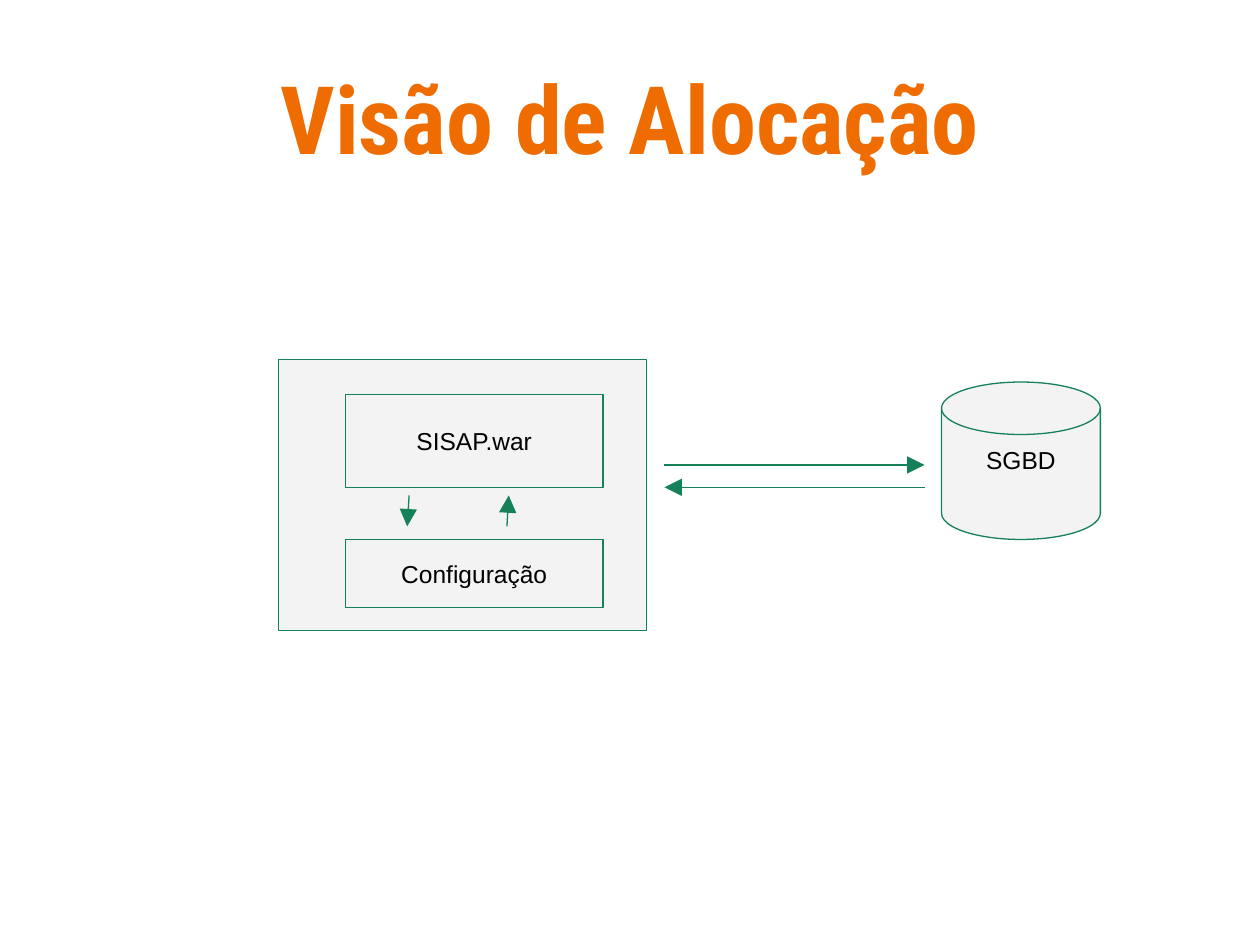
from dataclasses import dataclass

from lxml import etree
from pptx import Presentation
from pptx.dml.color import RGBColor
from pptx.enum.shapes import MSO_CONNECTOR, MSO_SHAPE
from pptx.enum.text import MSO_ANCHOR, PP_ALIGN
from pptx.oxml.ns import qn
from pptx.util import Pt

RECT = MSO_SHAPE.RECTANGLE
DISK = MSO_SHAPE.FLOWCHART_MAGNETIC_DISK
STRAIGHT = MSO_CONNECTOR.STRAIGHT
MIDDLE = MSO_ANCHOR.MIDDLE
CENTER = PP_ALIGN.CENTER


@dataclass(frozen=True)
class Theme:
    title: RGBColor = RGBColor(0xEF, 0x6C, 0x00)
    fill: RGBColor = RGBColor(0xF3, 0xF3, 0xF3)
    line: RGBColor = RGBColor(0x15, 0x81, 0x58)
    text: RGBColor = RGBColor(0, 0, 0)
    title_font: str = "Roboto Condensed"
    body_font: str = "Arial"
    title_size: float = 54
    body_size: float = 14
    line_width: float = 0.75
    inset: float = 7.2


THEME = Theme()


def set_text(sp, text, font, size, color, bold=False):
    tf = sp.text_frame
    tf.text = text
    tf.word_wrap = True
    tf.vertical_anchor = MIDDLE
    p = tf.paragraphs[0]
    p.alignment = CENTER
    r = p.runs[0]
    r.font.name = font
    r.font.size = Pt(size)
    r.font.bold = bold
    r.font.color.rgb = color


def add_node(slide, kind, box, text=None):
    sp = slide.shapes.add_shape(kind, *map(Pt, box))
    sp.shadow.inherit = False
    sp.fill.solid()
    sp.fill.fore_color.rgb = THEME.fill
    sp.line.color.rgb = THEME.line
    sp.line.width = Pt(THEME.line_width)
    if text:
        set_text(sp, text, THEME.body_font, THEME.body_size, THEME.text)
        tf = sp.text_frame
        tf.margin_left = tf.margin_right = Pt(THEME.inset)
        tf.margin_top = tf.margin_bottom = Pt(THEME.inset)
    return sp


def add_arrow(slide, x1, y1, x2, y2):
    cx = slide.shapes.add_connector(STRAIGHT, Pt(x1), Pt(y1), Pt(x2), Pt(y2))
    cx.line.color.rgb = THEME.line
    cx.line.width = Pt(THEME.line_width)
    etree.SubElement(cx.line._get_or_add_ln(), qn("a:tailEnd"),
                     type="triangle", w="lg", len="lg")
    etree.SubElement(cx._element.spPr, qn("a:effectLst"))


def add_title(slide, box, text):
    sp = slide.shapes.title
    sp.left, sp.top, sp.width, sp.height = map(Pt, box)
    set_text(sp, text, THEME.title_font, THEME.title_size, THEME.title, True)


def add_server(slide, box):
    x, y, w, h = box
    add_node(slide, RECT, box)
    left, width = x + 38.2, 147.2
    add_node(slide, RECT, (left, y + 20.3, width, 52.8), "SISAP.war")
    add_node(slide, RECT, (left, y + 103, width, 38.7), "Configuração")
    top, bottom = y + 77.8, y + 95.5
    add_arrow(slide, x + 74.6, top, x + 73.5, bottom)
    add_arrow(slide, x + 130.5, bottom, x + 131.5, top)


def add_database(slide, box):
    sp = add_node(slide, DISK, box, "SGBD")
    sp.text_frame.margin_top = 0
    sp.text_frame.margin_bottom = Pt(16)


def add_exchange(slide, box):
    x, y, w, h = box
    add_arrow(slide, x, y, x + w, y)
    add_arrow(slide, x + w, y + h, x, y + h)


def main():
    prs = Presentation()
    prs.slide_width, prs.slide_height = Pt(720), Pt(540)
    slide = prs.slides.add_slide(prs.slide_layouts[5])
    add_title(slide, (36, 21.6, 648, 90), "Visão de Alocação")
    add_server(slide, (159.2, 205.3, 210.2, 154.8))
    add_database(slide, (538, 218.3, 90.8, 90))
    add_exchange(slide, (379.7, 265.7, 148.6, 12.8))
    prs.save("out.pptx")


if __name__ == "__main__":
    main()
